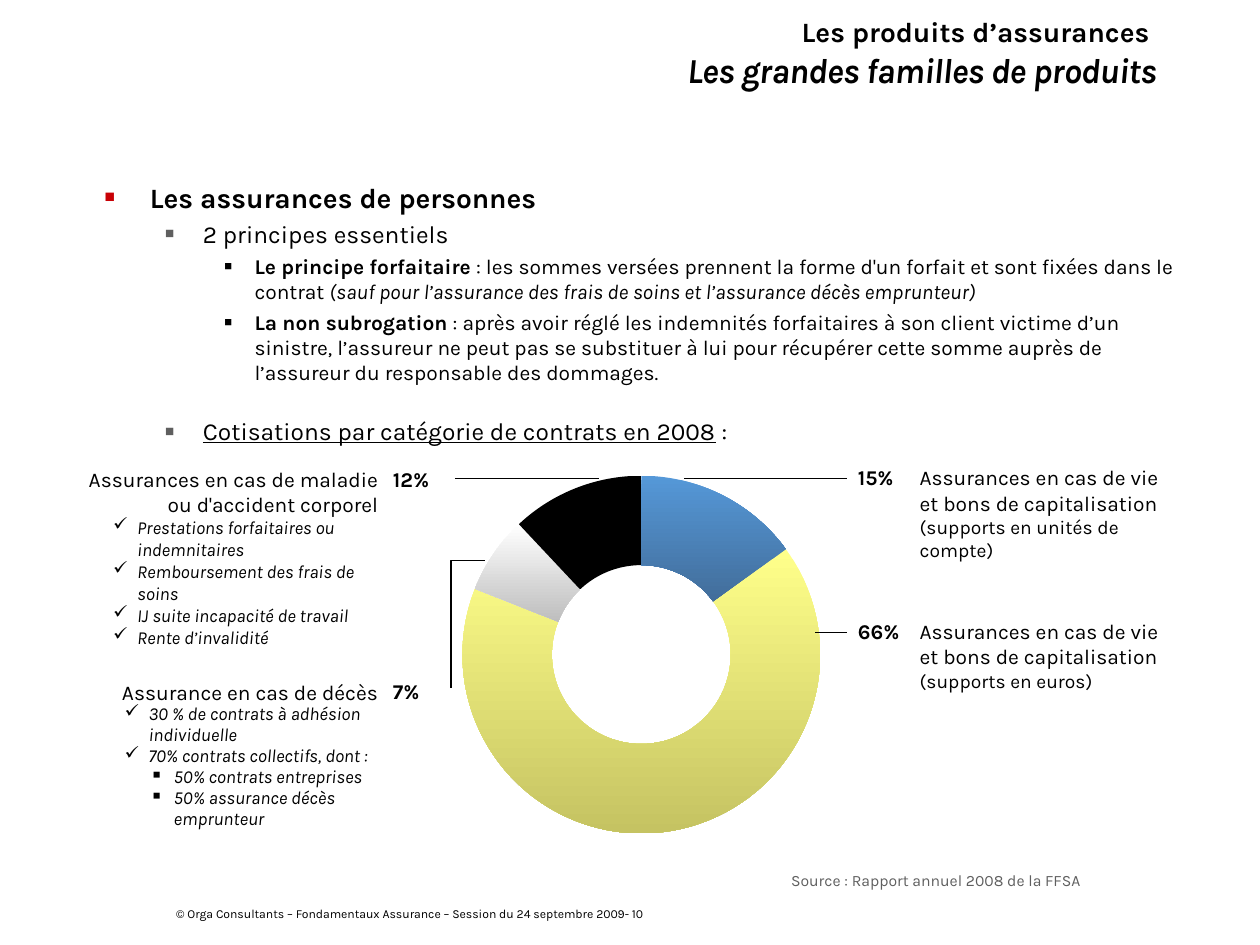
from copy import deepcopy
from dataclasses import dataclass

from lxml.etree import SubElement
from pptx import Presentation
from pptx.chart.data import CategoryChartData
from pptx.dml.color import RGBColor
from pptx.enum.chart import XL_CHART_TYPE
from pptx.enum.shapes import MSO_CONNECTOR
from pptx.enum.text import MSO_ANCHOR, MSO_AUTO_SIZE, PP_ALIGN
from pptx.oxml import parse_xml
from pptx.oxml.ns import nsdecls, qn
from pptx.util import Inches, Pt


@dataclass(frozen=True)
class Theme:
    font: str = "Karla"
    ink: str = "000000"
    grey: str = "5F5F5F"
    red: str = "C80005"
    title: float = 20
    head: float = 16
    sub: float = 14
    text: float = 12
    note: float = 11
    detail: float = 10.5
    source: float = 9
    footer: float = 7
    # Top and bottom colour of each ring segment
    ring: tuple = (("5598D8", "426D9A"), ("FFFF8A", "C5C362"),
                   ("FFFFFF", "BEBEBE"), ("000000", "000000"))


T = Theme()
COLS, ROWS = 100, 75
CELL = Inches(10) // COLS  # square grid cell


def grid(*cells):
    """Convert columns and rows of the grid to lengths."""
    return [int(c * CELL) for c in cells]


def set_bullet(p, char, color, scale):
    pPr = p._p.get_or_add_pPr()
    clr = SubElement(pPr, qn("a:buClr"))
    SubElement(clr, qn("a:srgbClr")).set("val", color)
    SubElement(pPr, qn("a:buSzPct")).set("val", str(scale * 1000))
    SubElement(pPr, qn("a:buChar")).set("char", char)


def set_indent(p, left, hanging):
    pPr = p._p.get_or_add_pPr()
    pPr.set("marL", str(Inches(left)))
    pPr.set("indent", str(-Inches(hanging)))


def add_runs(p, runs, color=T.ink):
    """Each run is (text, size, flags), flags being letters of 'biu'."""
    for text, size, flags in runs:
        for i, line in enumerate(text.split("\n")):
            if i:
                p.add_line_break()
                p._p[-1].append(deepcopy(last._r.rPr))
            if line or not i:
                r = last = p.add_run()
                r.text = line
                f = r.font
                f.name, f.size = T.font, Pt(size)
                f.bold, f.italic, f.underline = (c in flags for c in "biu")
                f.color.rgb = RGBColor.from_string(color)


def add_text(slide, cells, runs, color=T.ink):
    tf = slide.shapes.add_textbox(*grid(*cells)).text_frame
    tf.word_wrap = True
    add_runs(tf.paragraphs[0], runs, color)
    return tf


def add_line(slide, x1, x2, y):
    line = slide.shapes.add_connector(MSO_CONNECTOR.STRAIGHT, *grid(x1, y, x2, y))
    style_line(line)
    SubElement(line._element.spPr, qn("a:effectLst"))


def style_line(shape):
    shape.line.color.rgb = RGBColor.from_string(T.ink)
    shape.line.width = Pt(0.75)


def add_elbow(slide, points):
    (x, y), *rest = [grid(*pt) for pt in points]
    builder = slide.shapes.build_freeform(x, y)
    builder.add_line_segments(rest, close=False)
    sp = builder.convert_to_shape()
    sp.shadow.inherit = False
    sp.fill.background()
    style_line(sp)


def fill_title(slide):
    sp = slide.shapes.title
    sp.left, sp.top, sp.width, sp.height = grid(7.8, 0, 85, 8.3)
    tf = sp.text_frame
    tf.auto_size, tf.vertical_anchor = MSO_AUTO_SIZE.NONE, MSO_ANCHOR.MIDDLE
    p = tf.paragraphs[0]
    p.alignment = PP_ALIGN.RIGHT
    add_runs(p, [("Les produits d’assurances \n", T.head, "b"),
                 ("Les grandes familles de produits", T.title, "bi")])
    p.runs[-1].font._element.set("spc", "-40")


def fill_body(slide):
    sp = slide.placeholders[1]
    sp.left, sp.top, sp.width, sp.height = grid(7.3, 13.8, 87.2, 51.3)
    tf = sp.text_frame
    tf.auto_size = MSO_AUTO_SIZE.NONE
    levels = ((0.36, 0.36, T.red), (0.78, 0.3, T.grey), (1.19, 0.24, T.ink))
    items = [  # level, space before, runs
        (0, 0, [("Les assurances de personnes", T.head, "b")]),
        (1, 3, [("2 principes essentiels", T.sub, "")]),
        (2, 3, [("Le principe forfaitaire", T.text, "b"),
                (" : les sommes versées prennent la forme d'un forfait et sont "
                 "fixées dans le contrat ", T.text, ""),
                ("(sauf pour l’assurance des frais de soins et l’assurance "
                 "décès emprunteur)", T.text, "i")]),
        (2, 3, [("La non subrogation", T.text, "b"),
                (" : après avoir réglé les indemnités forfaitaires à son client "
                 "victime d’un sinistre, l’assureur ne peut pas se substituer à "
                 "lui pour récupérer cette somme auprès de l’assureur du "
                 "responsable des dommages.", T.text, "")]),
        (1, 18, [("Cotisations par catégorie de contrats en 2008", T.sub, "u"),
                 (" :", T.sub, "")]),
    ]
    for i, (level, before, runs) in enumerate(items):
        p = tf.add_paragraph() if i else tf.paragraphs[0]
        left, hanging, color = levels[level]
        p.level = level
        set_indent(p, left, hanging)
        set_bullet(p, "■", color, 62)
        p.space_before = Pt(before)
        add_runs(p, runs)


def add_ring(slide):
    data = CategoryChartData()
    data.categories = ["1", "2", "3", "4"]
    data.add_series("Series 1", (15, 66, 7, 12))
    chart = slide.shapes.add_chart(
        XL_CHART_TYPE.DOUGHNUT, *grid(34, 36.1, 33.8, 31.4), data).chart
    chart.has_legend = chart.has_title = False
    chart.font.name, chart.font.size = T.font, Pt(10)
    chart.font.color.rgb = RGBColor.from_string(T.ink)
    plot = chart.plots[0]
    plot.vary_by_categories = True
    plot._element.find(qn("c:holeSize")).set("val", "50")
    for i, colors in enumerate(T.ring):
        fmt = plot.series[0].points[i].format
        fmt.line.fill.background()
        fmt.fill.gradient()
        fmt.fill.gradient_angle = 270
        for stop, color in zip(fmt.fill.gradient_stops, colors):
            stop.color.rgb = RGBColor.from_string(color)
    # Centre the ring in its frame
    area = chart._chartSpace.chart.plotArea
    for old in area.findall(qn("c:layout")):
        area.remove(old)
    share = {"x": 0.08, "y": 0.05, "w": 0.84, "h": 0.91}
    area.insert(0, parse_xml(
        f'<c:layout {nsdecls("c")}><c:manualLayout><c:layoutTarget val="inner"/>'
        '<c:xMode val="edge"/><c:yMode val="edge"/>'
        + "".join(f'<c:{k} val="{v}"/>' for k, v in share.items())
        + "</c:manualLayout></c:layout>"))


def add_right_label(slide, row, share, note):
    tf = add_text(slide, (67.1, row, 26.9, 6.9), [
        (share + "\t", T.text, "b"),
        ("Assurances en cas de vie\net bons de capitalisation\n", T.text, ""),
        (note, T.note, "")])
    set_indent(tf.paragraphs[0], 0.49, 0.49)


def add_left_label(slide, row, height, share, heading, left, spacing, items):
    tf = add_text(slide, (5.9, row, 25.1, height), [(heading, T.text, "")])
    tf.paragraphs[0].alignment = PP_ALIGN.RIGHT
    for level, text in items:
        p = tf.add_paragraph()
        p.level = level
        set_indent(p, left + 0.2 * level, 0.19)
        set_bullet(p, "✓▪"[level], T.ink, 100)
        p.line_spacing = spacing
        add_runs(p, [(text, T.detail, "i")])
    add_text(slide, (30.2, row, 7.6, 3.6), [(share, T.text, "b")])


def main():
    prs = Presentation()
    prs.slide_width, prs.slide_height = grid(COLS, ROWS)
    s = prs.slides.add_slide(prs.slide_layouts[1])
    fill_title(s)
    fill_body(s)

    # Ring; the first leader runs behind it
    add_line(s, 54.3, 67.2, 38)
    add_ring(s)
    add_line(s, 64.7, 67.2, 50.2)
    add_line(s, 36.1, 47.5, 38)
    add_elbow(s, [(35.8, 54.6), (35.8, 44.5), (38.5, 44.5)])

    # Labels around the ring
    add_right_label(s, 36.4, "15%", "(supports en unités de compte)")
    add_right_label(s, 48.6, "66%", "(supports en euros)")
    add_left_label(
        s, 36.5, 16.9, "12%",
        "Assurances en cas de maladie\nou d'accident corporel", 0.4, 1.0,
        [(0, "Prestations forfaitaires ou indemnitaires"),
         (0, "Remboursement des frais de soins"),
         (0, "IJ suite incapacité de travail"),
         (0, "Rente d’invalidité")])
    add_left_label(
        s, 53.4, 15.1, "7%", "Assurance en cas de décès", 0.49, 0.95,
        [(0, "30 % de contrats à adhésion individuelle"),
         (0, "70% contrats collectifs, dont :"),
         (1, "50% contrats entreprises"),
         (1, "50% assurance décès emprunteur")])

    # Source and footer
    add_text(s, (61.8, 68.6, 27.5, 2.5),
             [("Source : Rapport annuel 2008 de la FFSA", T.source, "")], T.grey)
    add_text(s, (13, 71.4, 70.9, 2.3),
             [("© Orga Consultants – Fondamentaux Assurance – Session du "
               "24 septembre 2009- 10", T.footer, "")])
    prs.save("out.pptx")


if __name__ == "__main__":
    main()
